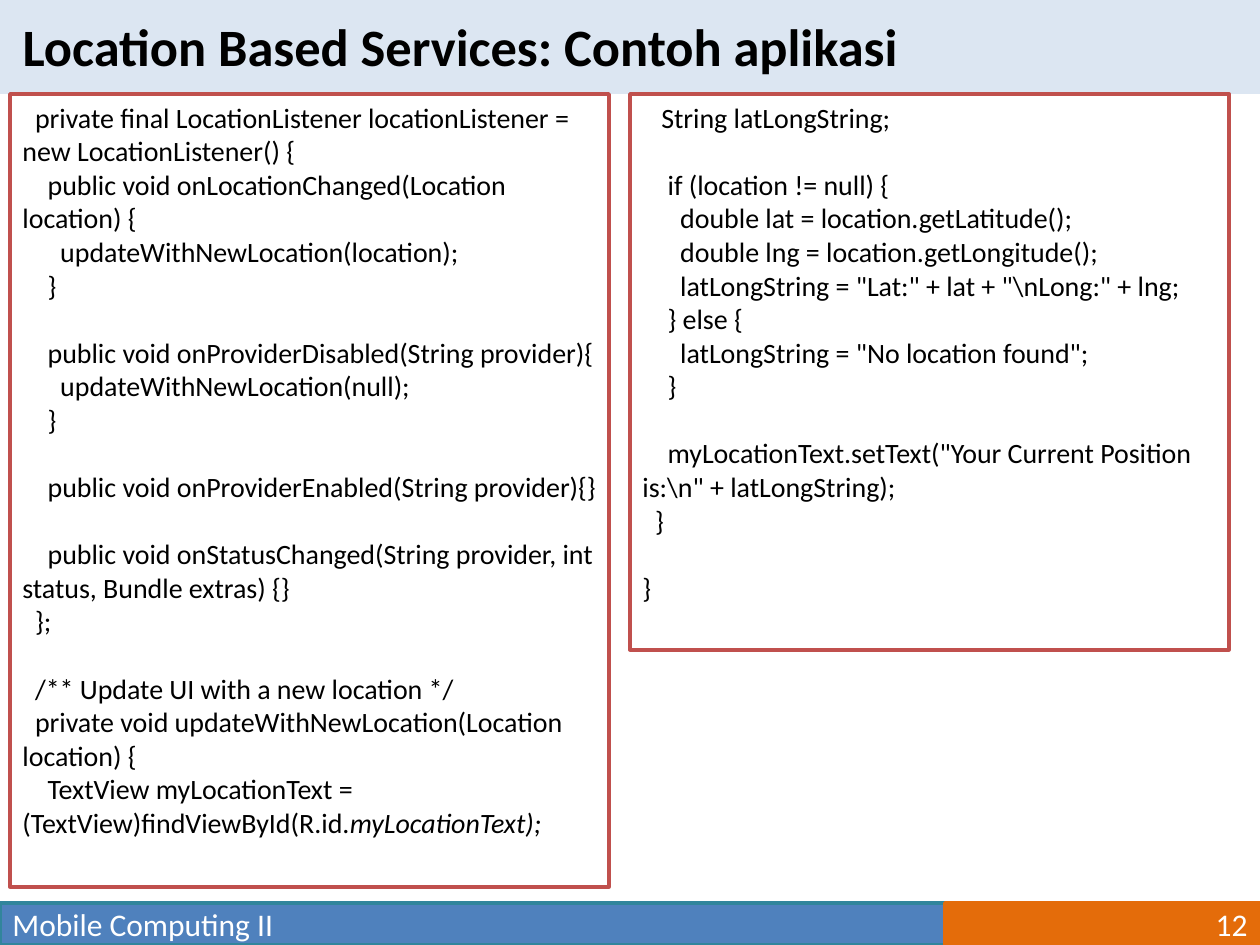
import pptx
import pptx.util
import pptx.dml.color
import pptx.enum.shapes
import pptx.enum.text

Pt = pptx.util.Pt
ALIGN = pptx.enum.text.PP_ALIGN
ANCHOR = pptx.enum.text.MSO_ANCHOR

HUES = {
    "band": "DCE6F2", "blue": "4F81BD", "teal": "31859C", "flame": "E46C0A",
    "red": "C0504D", "white": "FFFFFF", "black": "000000",
}
LISTENER = """\
  private final LocationListener locationListener = new LocationListener() {
    public void onLocationChanged(Location location) {
      updateWithNewLocation(location);
    }

    public void onProviderDisabled(String provider){
      updateWithNewLocation(null);
    }

    public void onProviderEnabled(String provider){}

    public void onStatusChanged(String provider, int status, Bundle extras) {}
  };

  /** Update UI with a new location */
  private void updateWithNewLocation(Location location) {
    TextView myLocationText = (TextView)findViewById(R.id."""
UPDATE = """\
   String latLongString;

    if (location != null) {
      double lat = location.getLatitude();
      double lng = location.getLongitude();
      latLongString = "Lat:" + lat + "\\nLong:" + lng;
    } else {
      latLongString = "No location found";
    }

    myLocationText.setText("Your Current Position is:\\n" + latLongString);
  }

}"""


def px(n):
    return pptx.util.Emu(round(n * 914400 / 126))


def tint(name):
    return pptx.dml.color.RGBColor.from_string(HUES[name])


def style(item, values):
    for key, value in values.items():
        setattr(item, key, value)


class Deck:
    face = "Calibri"
    step = 3.6   # width of one code space, points
    gap = 19.2   # height of one code line, points

    def __init__(self):
        self.prs = pptx.Presentation()
        style(self.prs, {"slide_width": px(1260), "slide_height": px(945)})
        self.slide = self.prs.slides.add_slide(self.prs.slide_layouts[5])

    def words(self, para, text, size, hue, **more):
        run = para.add_run()
        run.text = text
        style(run.font, {"name": self.face, "size": Pt(size), **more})
        run.font.color.rgb = tint(hue)

    def title(self, box, text):
        shape = self.slide.shapes.title
        style(shape, dict(zip(("left", "top", "width", "height"), map(px, box))))
        style(shape.text_frame, {
            "word_wrap": False, "vertical_anchor": ANCHOR.TOP,
            "auto_size": pptx.enum.text.MSO_AUTO_SIZE.NONE})
        para = shape.text_frame.paragraphs[0]
        para.alignment = ALIGN.LEFT
        self.words(para, text, 30, "black", bold=True)
        return shape

    def rect(self, box, fill, line=None):
        shape = self.slide.shapes.add_shape(
            pptx.enum.shapes.MSO_SHAPE.RECTANGLE, *map(px, box))
        shape.shadow.inherit = False
        shape.fill.solid()
        shape.fill.fore_color.rgb = tint(fill)
        if line:
            shape.line.color.rgb = tint(line)
            shape.line.width = Pt(2)
        else:
            shape.line.fill.background()
        return shape

    def label(self, box, fill, line, text, align):
        frame = self.rect(box, fill, line).text_frame
        style(frame, {"word_wrap": True, "vertical_anchor": ANCHOR.MIDDLE})
        para = frame.paragraphs[0]
        para.alignment = align
        self.words(para, text, 18, "white")

    def code(self, box, source, tail=""):
        """Leading spaces become first-line indents, empty lines spacing."""
        frame = self.rect(box, "white", "red").text_frame
        style(frame, {"word_wrap": True, "vertical_anchor": ANCHOR.TOP})
        para, skip = None, 0
        for line in source.splitlines():
            text = line.lstrip()
            if not text:
                skip += self.gap
                continue
            para = frame.paragraphs[0] if para is None else frame.add_paragraph()
            style(para, {"alignment": ALIGN.LEFT, "space_before": Pt(skip)})
            depth = len(line) - len(text)
            para._p.get_or_add_pPr().set("indent", str(Pt(depth * self.step)))
            self.words(para, text, 16, "black")
            skip = 0
        if tail:
            self.words(para, tail, 16, "black", italic=True)


def main():
    deck = Deck()
    title = deck.title((10, 8, 911, 77),
                       "Location Based Services: Contoh aplikasi")
    band = deck.rect((0, 0, 1260, 94), "band")
    title.element.addprevious(band.element)  # band goes behind the title
    deck.label((0, 903, 945, 42), "blue", "teal",
               "Mobile Computing II", ALIGN.LEFT)
    deck.label((945, 903, 315, 42), "flame", "flame", "12", ALIGN.RIGHT)
    deck.code((10, 94, 599, 793), LISTENER, "myLocationText);")
    deck.code((630, 94, 599, 556), UPDATE)
    deck.prs.save("out.pptx")


if __name__ == "__main__":
    main()
